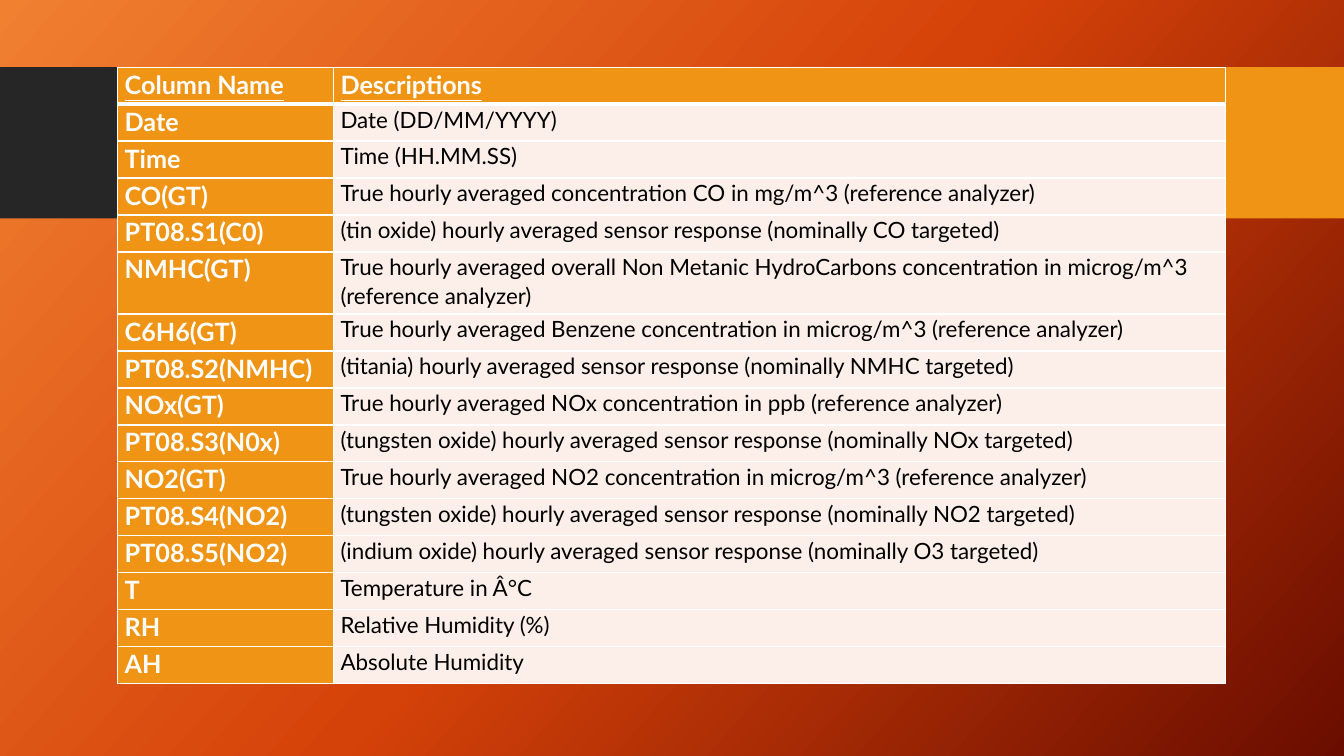
from pptx import Presentation
from pptx.dml.color import RGBColor as Rgb
from pptx.enum.shapes import MSO_SHAPE as Form
from pptx.oxml.ns import qn
from pptx.util import Inches, Pt
from lxml.etree import SubElement as Sub
from copy import deepcopy

ROWS = [
    ("Column Name", "Descriptions"),
    ("Date", "Date (DD/MM/YYYY)"),
    ("Time", "Time (HH.MM.SS)"),
    ("CO(GT)", "True hourly averaged concentration CO in mg/m^3 (reference analyzer)"),
    ("PT08.S1(C0)", "(tin oxide) hourly averaged sensor response (nominally CO targeted)"),
    ("NMHC(GT)", "True hourly averaged overall Non Metanic HydroCarbons concentration in microg/m^3 (reference analyzer)"),
    ("C6H6(GT)", "True hourly averaged Benzene concentration in microg/m^3 (reference analyzer)"),
    ("PT08.S2(NMHC)", "(titania) hourly averaged sensor response (nominally NMHC targeted)"),
    ("NOx(GT)", "True hourly averaged NOx concentration in ppb (reference analyzer)"),
    ("PT08.S3(N0x)", "(tungsten oxide) hourly averaged sensor response (nominally NOx targeted)"),
    ("NO2(GT)", "True hourly averaged NO2 concentration in microg/m^3 (reference analyzer)"),
    ("PT08.S4(NO2)", "(tungsten oxide) hourly averaged sensor response (nominally NO2 targeted)"),
    ("PT08.S5(NO2)", "(indium oxide) hourly averaged sensor response (nominally O3 targeted)"),
    ("T", "Temperature in Â°C"),
    ("RH", "Relative Humidity (%)"),
    ("AH", "Absolute Humidity"),
]


def tint(code):
    return Rgb.from_string(code)


class Deck:
    """Holds the style and the current slide, on a grid of 160 columns by 90 rows."""

    font, gold, pale, dark = "Lato", "F09415", "FCEEE8", "262626"
    white, black = "FFFFFF", "000000"

    def __init__(self):
        self.show = Presentation()
        self.show.slide_width = Inches(13.333)
        self.show.slide_height = Inches(7.5)
        self.page = self.show.slides.add_slide(self.show.slide_layouts[6])

    def unit(self, count):
        return round(self.show.slide_height * count / 90)

    def back(self, first, mid, last, angle):
        fill = self.page.background.fill
        fill.gradient()
        fill.gradient_angle = 360 - angle
        stops = self.page.element.find(".//" + qn("a:gsLst"))
        stops.insert(1, deepcopy(stops[0]))
        for stop, code, place in zip(fill.gradient_stops, (first, mid, last), (0, 0.5, 1)):
            stop.color.rgb = tint(code)
            stop.position = place

    def block(self, left, top, width, height, code):
        spot = map(self.unit, (left, top, width, height))
        shape = self.page.shapes.add_shape(Form.RECTANGLE, *spot)
        shape.shadow.inherit = False
        shape.fill.solid()
        shape.fill.fore_color.rgb = tint(code)
        shape.line.fill.background()

    def edge(self, cell, side, width):
        line = Sub(cell._tc.get_or_add_tcPr(), qn("a:ln" + side), w=str(Pt(width)))
        Sub(Sub(line, qn("a:solidFill")), qn("a:srgbClr"), val=self.white)

    def cell(self, cell, text, head, name):
        bold = head or name
        cell.margin_left = cell.margin_right = self.unit(0.85)
        cell.margin_top = cell.margin_bottom = 0
        for side in "LRTB":
            self.edge(cell, side, 3 if head and side == "B" else 1)
        cell.fill.solid()
        cell.fill.fore_color.rgb = tint(self.gold if bold else self.pale)
        para = cell.text_frame.paragraphs[0]
        para.line_spacing = 1.07
        run = para.add_run()
        run.text = text
        font = run.font
        font.name, font.size = self.font, Pt(18 if bold else 16)
        font.bold, font.underline = bold, head
        font.color.rgb = tint(self.white if bold else self.black)

    def table(self, left, top, widths, heights, rows):
        spot = map(self.unit, (left, top, sum(widths), sum(heights)))
        grid = self.page.shapes.add_table(len(rows), len(widths), *spot).table
        grid.horz_banding = False
        for col, width in zip(grid.columns, widths):
            col.width = self.unit(width)
        for y, (texts, height) in enumerate(zip(rows, heights)):
            grid.rows[y].height = self.unit(height)
            for x, text in enumerate(texts):
                self.cell(grid.cell(y, x), text, y == 0, x == 0)
        for x in range(len(widths)):
            top_line = grid.cell(1, x)._tc.tcPr.find(qn("a:lnT"))
            top_line.set("w", str(Pt(3)))


def main():
    deck = Deck()
    deck.back("F18031", "D54209", "6A0D00", 42)
    deck.block(0, 8, 136.9, 18, deck.dark)
    deck.block(139, 8, 21, 18, deck.gold)
    heights = [7.4 if name == "NMHC(GT)" else 4.4 for name, _ in ROWS]
    deck.table(14, 8, (25.7, 106.2), heights, ROWS)
    deck.show.save("out.pptx")


if __name__ == "__main__":
    main()
